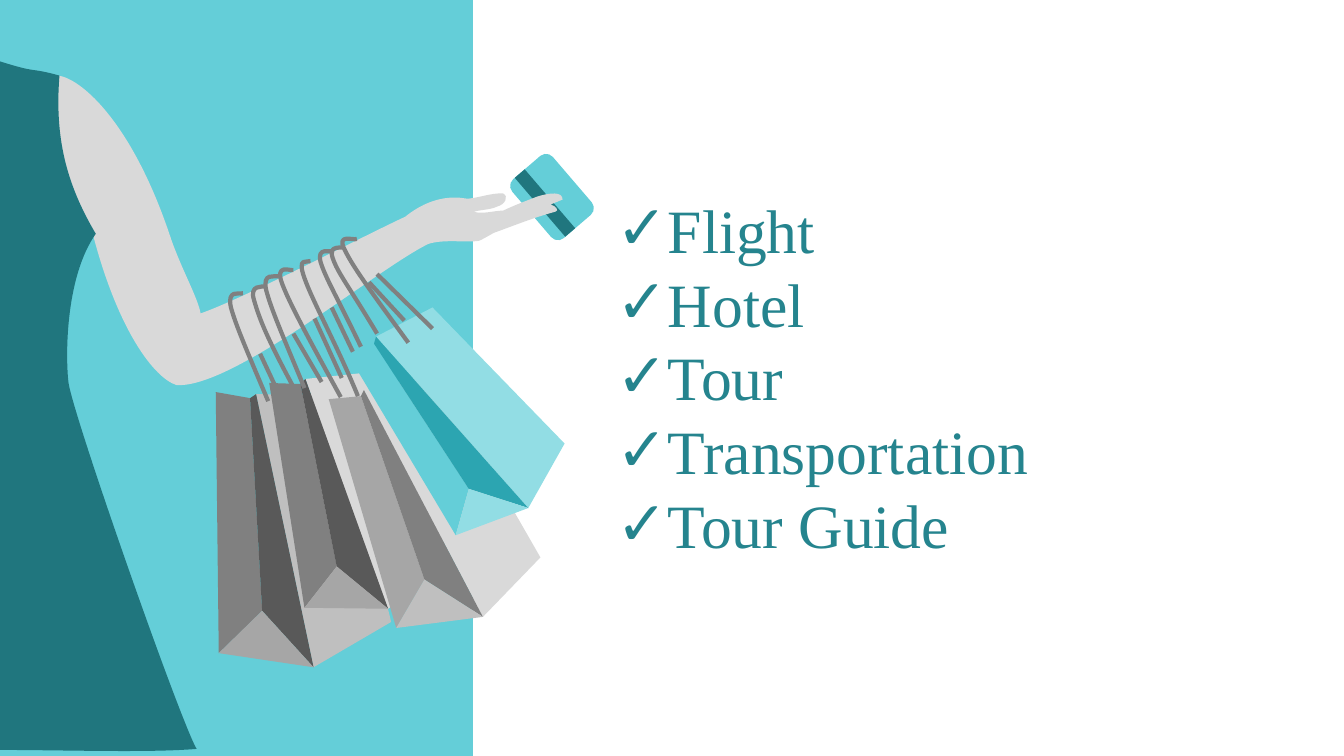
import math
from dataclasses import dataclass

from lxml import etree
from pptx import Presentation
from pptx import util as u
from pptx.dml.color import RGBColor
from pptx.enum import shapes, text
from pptx.oxml.ns import qn


@dataclass(frozen=True)
class Theme:
    panel: str = "64CED8"
    dress: str = "20767E"
    skin: str = "D9D9D9"
    words: str = "25848E"
    aqua: str = "92DDE4"
    teal: str = "2CA5B1"
    silver: str = "BFBFBF"
    ash: str = "A6A6A6"
    gray: str = "808080"
    charcoal: str = "595959"
    font: str = "Times New Roman"
    list_size: float = 44
    handle_width: float = 3


def turn(x, y, degrees):
    """Rotate a point clockwise about the slide's top left corner."""
    c, s = math.cos(math.radians(degrees)), math.sin(math.radians(degrees))
    return x * c - y * s, x * s + y * c


class SlideArtist:
    def __init__(self, slide, theme):
        self.slide, self.theme = slide, theme

    def paint(self, shape, color):
        shape.shadow.inherit = False
        shape.fill.solid()
        shape.fill.fore_color.rgb = RGBColor.from_string(color)
        shape.line.fill.background()

    def stroke(self, line):
        line.color.rgb = RGBColor.from_string(self.theme.gray)
        line.width = u.Pt(self.theme.handle_width)

    def preset(self, kind, box, color, rotation=0):
        shape = self.slide.shapes.add_shape(kind, *map(u.Inches, box))
        shape.rotation = rotation
        self.paint(shape, color)

    def freeform(self, nodes, close, rotation):
        """Each node is (x, y) or a cubic curve (x1, y1, x2, y2, x, y)."""
        nodes = [[tuple(map(u.Inches, turn(*node[i:i + 2], -rotation)))
                  for i in range(0, len(node), 2)] for node in nodes]
        anchors = [node[-1] for node in nodes]
        builder = self.slide.shapes.build_freeform(*anchors[0])
        builder.add_line_segments(anchors[1:], close=close)
        shape = builder.convert_to_shape()
        # Turn straight segments into curves
        left, top = shape.left, shape.top
        for segment, node in zip(list(shape._element.iter(qn("a:lnTo"))), nodes[1:]):
            if len(node) == 3:
                curve = etree.Element(qn("a:cubicBezTo"))
                for x, y in node:
                    etree.SubElement(curve, qn("a:pt"), x=str(x - left), y=str(y - top))
                segment.getparent().replace(segment, curve)
        # Rotate about the middle of the shape
        half_w, half_h = shape.width / 2, shape.height / 2
        middle_x, middle_y = turn(left + half_w, top + half_h, rotation)
        shape.left, shape.top = round(middle_x - half_w), round(middle_y - half_h)
        shape.rotation = rotation
        return shape

    def outline(self, color, nodes, rotation=0):
        self.paint(self.freeform(nodes, True, rotation), color)

    def bag(self, rotation, colors, corners):
        back, crease, tip, right, seam, outer, base, inner = corners
        faces = [(back, crease, tip, right), (seam, outer, base, inner),
                 (tip, inner, seam, crease), (tip, base, inner)]
        for color, face in zip(colors, faces):
            self.outline(color, face, rotation)

    def hook(self, rotation, *nodes):
        shape = self.freeform(nodes, False, rotation)
        shape.shadow.inherit = False
        shape.fill.background()
        self.stroke(shape.line)

    def strap(self, *ends):
        strap = self.slide.shapes.add_connector(
            shapes.MSO_CONNECTOR.STRAIGHT, *map(u.Inches, ends))
        self.stroke(strap.line)
        etree.SubElement(strap._element.spPr, qn("a:effectLst"))

    def checklist(self, placeholder, box, items):
        for name, value in zip(("left", "top", "width", "height"), box):
            setattr(placeholder, name, u.Inches(value))
        frame = placeholder.text_frame
        frame_format = {"word_wrap": True, "vertical_anchor": text.MSO_ANCHOR.TOP,
                        "auto_size": text.MSO_AUTO_SIZE.SHAPE_TO_FIT_TEXT}
        for name, value in frame_format.items():
            setattr(frame, name, value)
        frame.text = "\n".join(items)
        font_format = {"name": self.theme.font, "size": u.Pt(self.theme.list_size)}
        for entry in frame.paragraphs:
            entry.space_before = u.Pt(0)
            font = entry.runs[0].font
            for name, value in font_format.items():
                setattr(font, name, value)
            font.color.rgb = RGBColor.from_string(self.theme.words)
            props = entry._p.get_or_add_pPr()
            props.set("marL", str(u.Inches(0.31)))
            props.set("indent", str(-u.Inches(0.31)))
            etree.SubElement(props, qn("a:buChar"), char="✓")


THEME = Theme()
SERVICES = ["Flight", "Hotel", "Tour", "Transportation", "Tour Guide"]

ARM = [
    (4.99, 1.92), (5.05, 1.95, 5.01, 2.03, 4.93, 2.05), (4.87, 2.08, 4.78, 2.08, 4.7, 2.1),
    (4.78, 2.13, 4.9, 2.09, 4.99, 2.09), (5.12, 2.03, 5.2, 2, 5.33, 1.95),
    (5.46, 1.91, 5.58, 1.9, 5.58, 1.98), (5.46, 2.03), (5.51, 2.04, 5.55, 2.09, 5.51, 2.1),
    (5.29, 2.16, 5.12, 2.23, 4.9, 2.31), (4.86, 2.33, 4.78, 2.38, 4.75, 2.39),
    (4.63, 2.41, 4.41, 2.37, 4.25, 2.42), (3.75, 2.66, 2.31, 3.86, 1.75, 3.82),
    (1.53, 3.75, 1.17, 3.28, 0.92, 2.32), (0.72, 2.05, 0.35, 1.48, 0.56, 0.75),
    (0.76, 0.75, 1.3, 1.16, 1.7, 2.38), (1.81, 2.69, 1.96, 2.95, 1.99, 3.11),
    (2.44, 2.95, 3.57, 2.36, 4.02, 2.15), (4.28, 1.94, 4.51, 1.95, 4.62, 1.97),
    (4.7, 1.98, 4.87, 1.91, 4.99, 1.92)]

DRESS = [
    (0.59, 0.75), (0.54, 1.37, 0.66, 1.83, 0.95, 2.32), (0.64, 2.76, 0.65, 3.57, 0.68, 3.8),
    (0.73, 4.14, 1.79, 7.16, 1.95, 7.43), (1.47, 7.47, 0.63, 7.44, -0.02, 7.44),
    (-0.02, 5.79, -0.04, 2.24, -0.03, 0.6), (0.41, 0.74, 0.26, 0.66, 0.59, 0.75)]

# Rotation, colours (front, side, fold, base) and corners, from back to front
BAGS = [
    (30, (THEME.silver, THEME.gray, THEME.charcoal, THEME.ash),
     [(3.33, 3.92), (2.54, 3.91), (3.11, 6.62), (3.88, 6.17),
      (2.48, 3.95), (2.14, 3.89), (2.17, 6.48), (2.6, 6.06)]),
    (21.7, (THEME.skin, THEME.gray, THEME.charcoal, THEME.ash),
     [(3.7, 3.69), (3.03, 3.76), (3.85, 6.04), (4.47, 5.55),
      (2.98, 3.81), (2.67, 3.8), (3.02, 6.03), (3.34, 5.62)]),
    (14.1, (THEME.skin, THEME.ash, THEME.gray, THEME.silver),
     [(4.31, 3.7), (3.61, 3.87), (4.79, 6.12), (5.36, 5.53),
      (3.58, 3.93), (3.26, 3.96), (3.93, 6.23), (4.21, 5.75)]),
    (0, (THEME.aqua, THEME.panel, THEME.teal, THEME.aqua),
     [(4.29, 3.05), (3.73, 3.34), (5.24, 5.04), (5.6, 4.4),
      (3.71, 3.41), (3.44, 3.5), (4.52, 5.31), (4.65, 4.85)]),
]

HOOKS = [
    (0, (4.05, 3.4), (3.7, 2.92, 3.5, 2.65, 3.42, 2.48), (3.33, 2.31, 3.51, 2.39, 3.54, 2.37)),
    (0, (3.58, 3.44), (3.35, 2.96, 3.23, 2.76, 3.18, 2.6), (3.14, 2.44, 3.28, 2.51, 3.31, 2.49)),
    (7.1, (3.55, 3.93), (3.35, 3.44, 3.1, 2.99, 3.02, 2.76), (2.94, 2.54, 3.05, 2.61, 3.08, 2.59)),
    (25.8, (2.66, 3.98), (2.44, 3.46, 2.34, 3.23, 2.29, 3.05), (2.25, 2.87, 2.37, 2.92, 2.41, 2.91)),
    (25.8, (3.02, 3.85), (2.8, 3.32, 2.69, 3.07, 2.64, 2.88), (2.6, 2.7, 2.72, 2.75, 2.76, 2.74)),
    (25.8, (3.38, 3.94), (3.1, 3.43, 2.88, 3.03, 2.8, 2.82), (2.72, 2.61, 2.88, 2.69, 2.91, 2.68)),
    (25.8, (2.91, 3.84), (2.63, 3.32, 2.57, 3.15, 2.52, 2.98), (2.47, 2.82, 2.6, 2.85, 2.63, 2.84)),
    (0, (3.74, 3.31), (3.46, 2.84, 3.35, 2.71, 3.3, 2.56), (3.25, 2.42, 3.4, 2.47, 3.42, 2.45)),
]

STRAPS = [(3.74, 2.72, 4.29, 3.26), (3.66, 2.8, 4.01, 3.18), (3.12, 3.16, 3.39, 3.75),
          (2.58, 3.51, 2.73, 3.83), (2.91, 3.31, 3.19, 3.79), (3.29, 3.05, 3.5, 3.49)]


def main():
    deck = Presentation()
    deck.slide_width, deck.slide_height = u.Inches(13.33), u.Inches(7.5)
    slide = deck.slides.add_slide(deck.slide_layouts[1])
    artist = SlideArtist(slide, THEME)
    # List of services; the slide has no title
    heading = slide.shapes.title._element
    heading.getparent().remove(heading)
    artist.checklist(slide.placeholders[1], (6.01, 1.85, 6.06, 3.8), SERVICES)
    # Side panel
    artist.preset(shapes.MSO_SHAPE.RECTANGLE, (0, 0, 4.69, 7.5), THEME.panel)
    # Payment card held in the hand
    artist.preset(shapes.MSO_SHAPE.ROUNDED_RECTANGLE, (5.09, 1.69, 0.77, 0.53), THEME.panel, 49.4)
    artist.preset(shapes.MSO_SHAPE.RECTANGLE, (5.02, 1.95, 0.77, 0.13), THEME.dress, 49.4)
    artist.outline(THEME.skin, ARM)
    # Shopping bags and their handles
    for bag in BAGS:
        artist.bag(*bag)
    for hook in HOOKS:
        artist.hook(*hook)
    for strap in STRAPS:
        artist.strap(*strap)
    # Dress
    artist.outline(THEME.dress, DRESS)
    deck.save("out.pptx")


if __name__ == "__main__":
    main()
